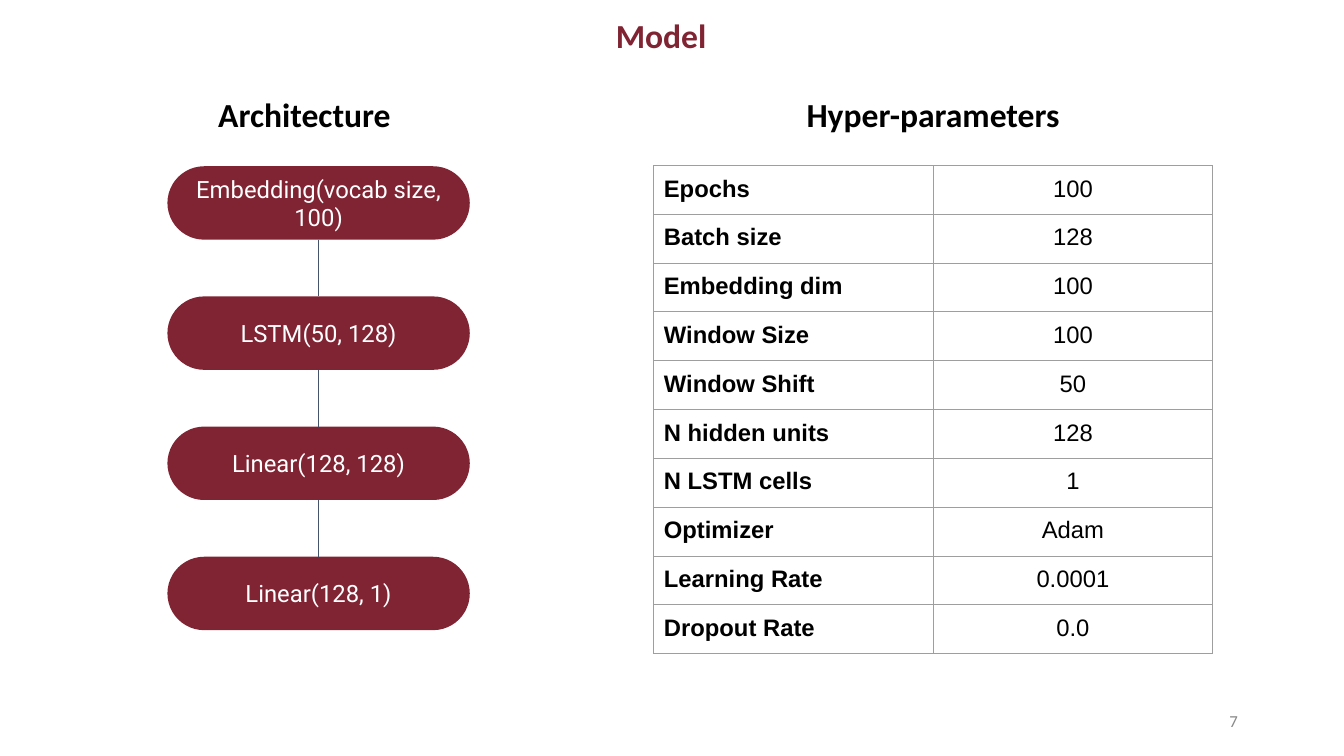
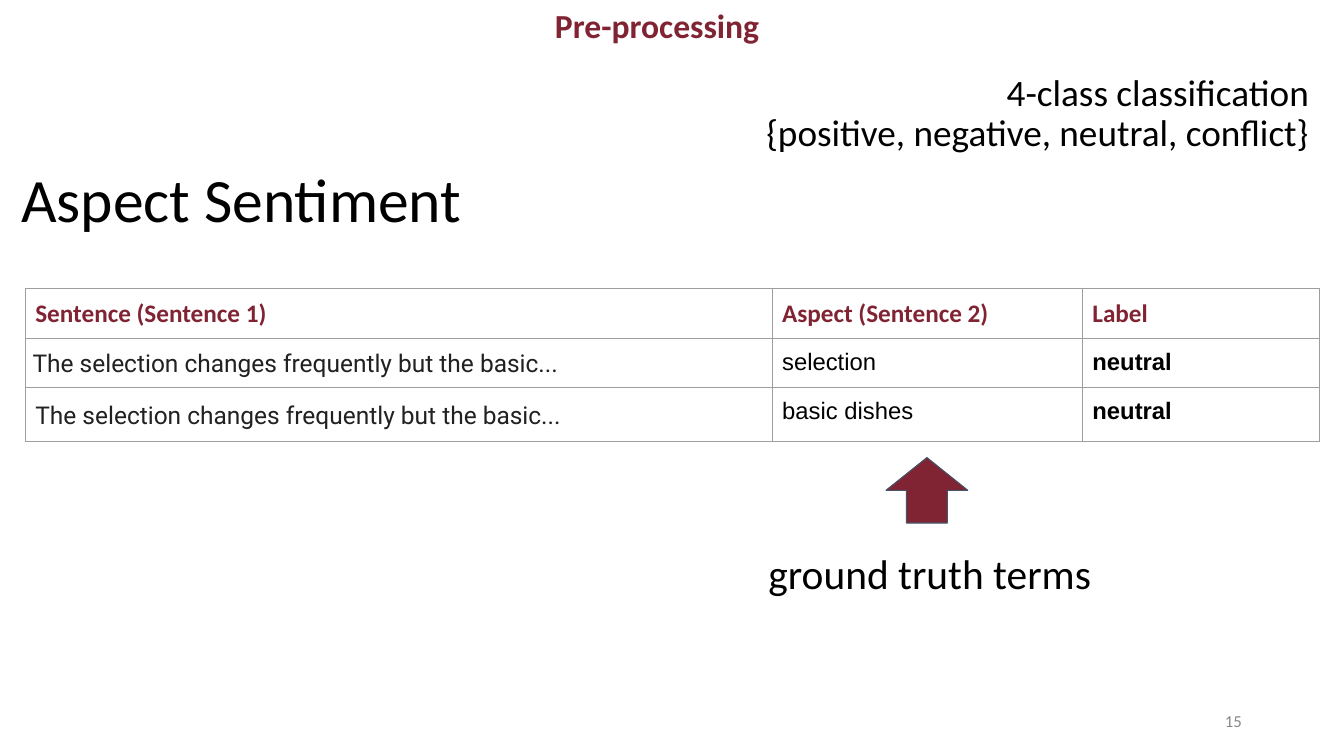
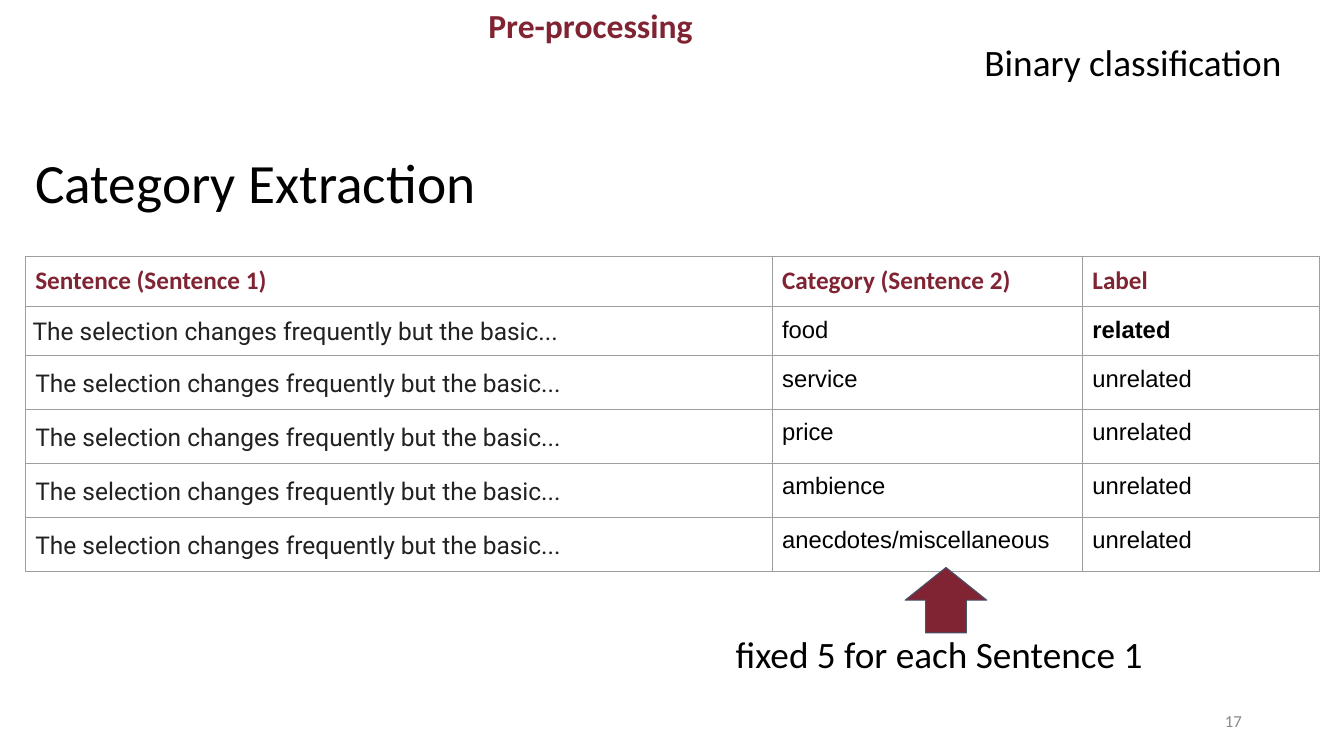
import pptx
import pptx.dml.color
import pptx.enum.shapes
import pptx.enum.text
import pptx.oxml
import pptx.oxml.ns
import pptx.util

Cm = pptx.util.Cm
Pt = pptx.util.Pt
RGBColor = pptx.dml.color.RGBColor
Align = pptx.enum.text.PP_ALIGN
Anchor = pptx.enum.text.MSO_ANCHOR
Shape = pptx.enum.shapes.MSO_SHAPE

MAROON = RGBColor(0x80, 0x24, 0x33)
SLATE = RGBColor(0x44, 0x54, 0x6A)
GREY = RGBColor(0x88, 0x88, 0x88)
BORDER = RGBColor(0x9E, 0x9E, 0x9E)
INK = RGBColor(0x21, 0x21, 0x21)
BLACK = RGBColor(0, 0, 0)
WHITE = RGBColor(0xFF, 0xFF, 0xFF)

SENTENCE = "The selection changes frequently but the basic..."


class Deck:
    body = dict(size=17, font="Arial")
    sentence = dict(size=17.5, font="Roboto", color=INK, spacing=1.15)
    column_head = dict(size=18, color=MAROON, bold=True)
    header_style = dict(size=24, color=MAROON, bold=True, align=Align.CENTER, spacing=0.9)
    data_columns = [18.82, 7.82, 5.97]

    def __init__(self):
        self.prs = pptx.Presentation()
        self.prs.slide_width = Cm(33.87)
        self.prs.slide_height = Cm(19.05)
        self.s = None

    def slide(self, number, number_left):
        self.s = self.prs.slides.add_slide(self.prs.slide_layouts[5])
        self.text(str(number), number_left, 17.65, 7.62, 1.02,
                  size=12, color=GREY, align=Align.RIGHT)

    def set_text(self, tf, text, size, font="Calibri", color=BLACK, bold=False,
                 align=Align.LEFT, spacing=1.0):
        tf.text = text
        for p in tf.paragraphs:
            p.alignment = align
            p.line_spacing = spacing
            p.font.size = Pt(size)
            p.font.name = font
            p.font.color.rgb = color
            p.font.bold = bold

    def insets(self, target, side, end):
        target.margin_left = target.margin_right = Cm(side)
        target.margin_top = target.margin_bottom = Cm(end)

    def fill_frame(self, sp, text, anchor, side, end, **style):
        tf = sp.text_frame
        tf.word_wrap = True
        tf.auto_size = pptx.enum.text.MSO_AUTO_SIZE.NONE
        tf.vertical_anchor = anchor
        self.insets(tf, side, end)
        self.set_text(tf, text, **style)

    def text(self, text, x, y, w, h, anchor=Anchor.MIDDLE, end=0.13, **style):
        sp = self.s.shapes.add_textbox(Cm(x), Cm(y), Cm(w), Cm(h))
        self.fill_frame(sp, text, anchor, 0.25, end, **style)

    def title(self, text, x, y, w, h, anchor=Anchor.MIDDLE, end=0.13, **style):
        sp = self.s.shapes.title
        sp.left, sp.top, sp.width, sp.height = Cm(x), Cm(y), Cm(w), Cm(h)
        self.fill_frame(sp, text, anchor, 0.25, end, **style)

    def header(self, text, x):
        self.text(text, x, 0, 33.32, 1.45, anchor=Anchor.TOP, end=0.25,
                  **self.header_style)

    def heading(self, text, x):
        self.text(text, x, 2.24, 8.33, 1.45, anchor=Anchor.TOP, end=0.25,
                  size=24, bold=True, align=Align.CENTER, spacing=0.9)

    def note(self, text, x, y, w, size=26.6, align=Align.LEFT):
        self.text(text, x, y, w, 2.21, size=size, align=align, spacing=0.9)

    def shape(self, kind, x, y, w, h):
        sp = self.s.shapes.add_shape(kind, Cm(x), Cm(y), Cm(w), Cm(h))
        sp.shadow.inherit = False
        sp.fill.solid()
        sp.fill.fore_color.rgb = MAROON
        return sp

    def layer(self, text, x, y):
        sp = self.shape(Shape.ROUNDED_RECTANGLE, x, y, 7.62, 1.85)
        sp.adjustments[0] = 0.5
        sp.line.fill.background()
        self.fill_frame(sp, text, Anchor.MIDDLE, 0.33, 0.33, size=17,
                        font="Roboto", color=WHITE, align=Align.CENTER)
        return sp

    def arrow(self, x, y):
        sp = self.shape(Shape.UP_ARROW, x, y, 2.06, 1.65)
        sp.line.color.rgb = SLATE
        sp.line.width = Pt(0.75)

    def link(self, upper, lower):
        line = self.s.shapes.add_connector(
            pptx.enum.shapes.MSO_CONNECTOR.STRAIGHT, 0, 0, 0, 0)
        line.begin_connect(upper, 2)
        line.end_connect(lower, 0)
        line.line.color.rgb = SLATE
        line.line.width = Pt(0.75)
        line._element.spPr.append(pptx.oxml.parse_xml(
            "<a:effectLst %s/>" % pptx.oxml.ns.nsdecls("a")))

    def borders(self, cell):
        tcPr = cell._tc.get_or_add_tcPr()
        for i, side in enumerate(("lnL", "lnR", "lnT", "lnB")):
            tcPr.insert(i, pptx.oxml.parse_xml(
                '<a:%s %s w="9525"><a:solidFill><a:srgbClr val="%s"/></a:solidFill></a:%s>'
                % (side, pptx.oxml.ns.nsdecls("a"), BORDER, side)))

    def table(self, x, y, widths, heights, rows):
        frame = self.s.shapes.add_table(len(rows), len(widths), Cm(x), Cm(y),
                                        Cm(sum(widths)), Cm(sum(heights)))
        table = frame.table
        table.first_row = table.horz_banding = False
        for column, width in zip(table.columns, widths):
            column.width = Cm(width)
        for r, (row, height) in enumerate(zip(rows, heights)):
            table.rows[r].height = Cm(height)
            for c, (text, style) in enumerate(row):
                cell = table.cell(r, c)
                inset = 0.18 if r == 1 and style is self.sentence else 0.25
                self.insets(cell, inset, inset)
                cell.fill.background()
                self.set_text(cell.text_frame, text, **style)
                self.borders(cell)

    def sentence_table(self, y, second_column, examples):
        heads = ("Sentence (Sentence 1)", second_column, "Label")
        rows = [[(head, self.column_head) for head in heads]]
        for term, label, bold in examples:
            rows.append([(SENTENCE, self.sentence), (term, self.body),
                         (label, dict(self.body, bold=bold))])
        heights = [1.25, 1.23] + [1.36] * (len(rows) - 2)
        self.table(0.64, y, self.data_columns, heights, rows)


def model(deck):
    deck.slide(7, 23.83)
    deck.title("Model", 0, 0.23, 33.32, 1.45, anchor=Anchor.TOP, end=0.25,
               **deck.header_style)
    deck.heading("Architecture", 3.51)
    deck.heading("Hyper-parameters", 19.35)
    names = ["Embedding(vocab size, 100)", "LSTM(50, 128)",
             "Linear(128, 128)", "Linear(128, 1)"]
    layers = [deck.layer(name, 4.22, 4.19 + 3.28 * i) for i, name in enumerate(names)]
    for upper, lower in zip(layers, layers[1:]):
        deck.link(upper, lower)
    parameters = [
        ("Epochs", "100"), ("Batch size", "128"), ("Embedding dim", "100"),
        ("Window Size", "100"), ("Window Shift", "50"), ("N hidden units", "128"),
        ("N LSTM cells", "1"), ("Optimizer", "Adam"),
        ("Learning Rate", "0.0001"), ("Dropout Rate", "0.0"),
    ]
    rows = [[(name, dict(deck.body, bold=True)),
             (value, dict(deck.body, align=Align.CENTER))] for name, value in parameters]
    deck.table(16.48, 4.17, [7.04, 7.04], [1.23] * len(rows), rows)


def aspect_sentiment(deck):
    deck.slide(15, 23.93)
    deck.title("Aspect Sentiment", 0.28, 4.01, 12.09, 2.21, size=44, spacing=0.9)
    deck.header("Pre-processing", -0.1)
    deck.note("4-class classification\n{positive, negative, neutral, conflict}",
              18.82, 1.78, 14.43, align=Align.RIGHT)
    deck.sentence_table(7.26, "Aspect (Sentence 2)", [
        ("selection", "neutral", True), ("basic dishes", "neutral", True)])
    deck.arrow(22.33, 11.53)
    deck.note("ground truth terms", 18.97, 13.41, 8.79, size=29.6, align=Align.RIGHT)


def category_extraction(deck):
    deck.slide(17, 23.93)
    deck.title("Category Extraction", 0.64, 3.56, 12.09, 2.21, size=39.6, spacing=0.9)
    deck.header("Pre-processing", -1.78)
    deck.note("Binary classification", 24.56, 0.51, 8.71)
    unrelated = ["service", "price", "ambience", "anecdotes/miscellaneous"]
    deck.sentence_table(6.45, "Category (Sentence 2)", [("food", "related", True)] + [
        (category, "unrelated", False) for category in unrelated])
    deck.arrow(22.81, 14.3)
    deck.note("fixed 5 for each Sentence 1", 18.29, 15.44, 11.1)


def main():
    deck = Deck()
    model(deck)
    aspect_sentiment(deck)
    category_extraction(deck)
    deck.prs.save("out.pptx")


if __name__ == "__main__":
    main()
